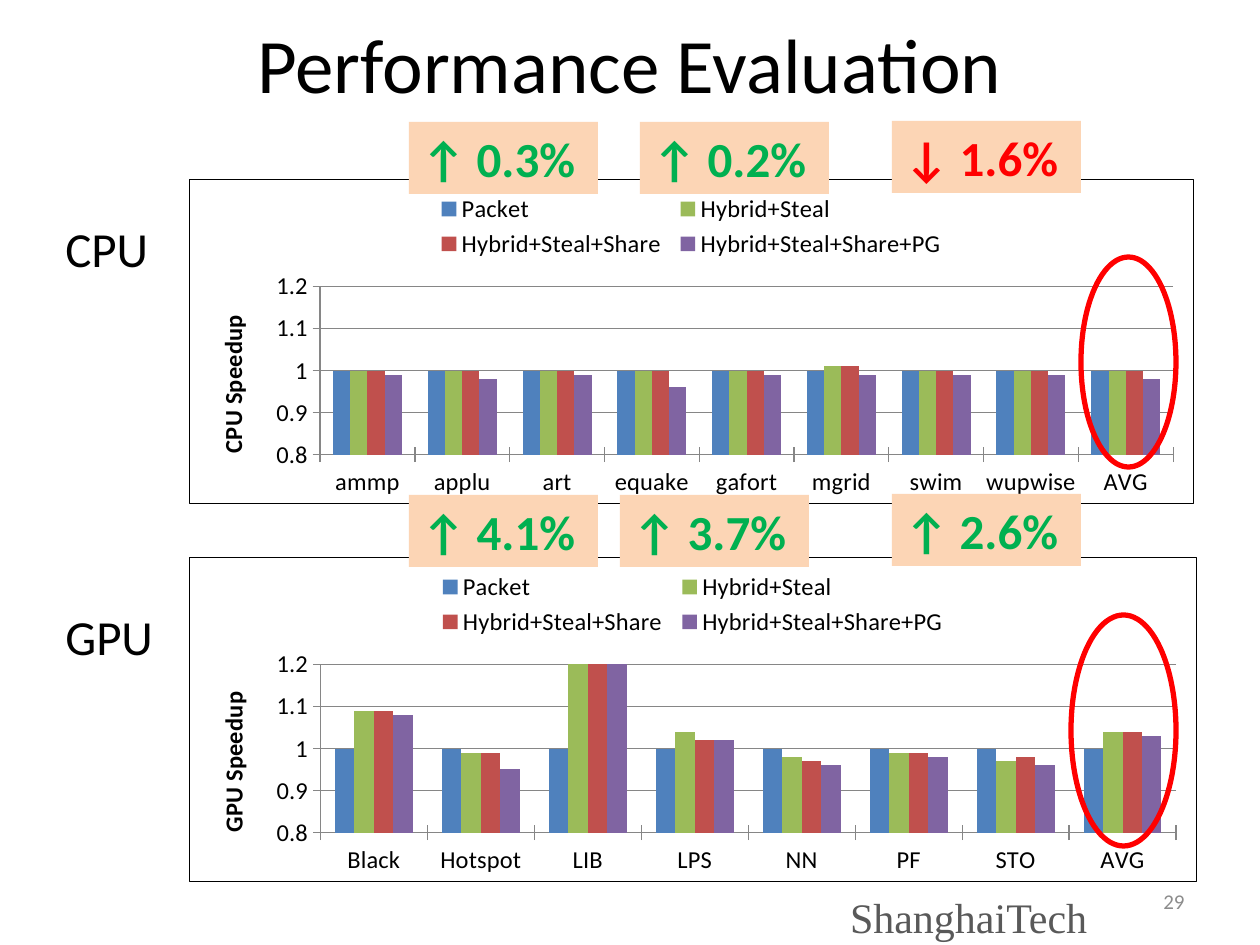
import pptx
import pptx.chart.data
import pptx.dml.color
import pptx.enum.chart
import pptx.enum.shapes
import pptx.enum.text
import pptx.oxml
import pptx.oxml.ns
import pptx.util

RGB = pptx.dml.color.RGBColor
ALIGN = pptx.enum.text.PP_ALIGN
ANCHOR = pptx.enum.text.MSO_ANCHOR
SHAPE = pptx.enum.shapes.MSO_SHAPE
XL = pptx.enum.chart

PX = 914400 // 126
BLACK = RGB(0x00, 0x00, 0x00)
GREY = RGB(0x8C, 0x8C, 0x8C)
DARK_GREY = RGB(0x59, 0x59, 0x59)
GRID = RGB(0x86, 0x86, 0x86)
PEACH = RGB(0xFC, 0xD5, 0xB5)
GREEN = RGB(0x00, 0xB0, 0x50)
RED = RGB(0xFF, 0x00, 0x00)
SERIES_COLORS = [RGB(0x4F, 0x81, 0xBD), RGB(0x9B, 0xBB, 0x59),
                 RGB(0xC0, 0x50, 0x4D), RGB(0x80, 0x64, 0xA2)]
SERIES_NAMES = ["Packet", "Hybrid+Steal", "Hybrid+Steal+Share",
                "Hybrid+Steal+Share+PG"]

CPU_CATS = ["ammp", "applu", "art", "equake", "gafort", "mgrid", "swim",
            "wupwise", "AVG"]
CPU_VALUES = [
    [1] * 9,
    [1, 1, 1, 1, 1, 1.01, 1, 1, 1],
    [1, 1, 1, 1, 1, 1.01, 1, 1, 1],
    [0.99, 0.98, 0.99, 0.96, 0.99, 0.99, 0.99, 0.99, 0.98],
]
GPU_CATS = ["Black", "Hotspot", "LIB", "LPS", "NN", "PF", "STO", "AVG"]
GPU_VALUES = [
    [1] * 8,
    [1.09, 0.99, 1.26, 1.04, 0.98, 0.99, 0.97, 1.04],
    [1.09, 0.99, 1.25, 1.02, 0.97, 0.99, 0.98, 1.04],
    [1.08, 0.95, 1.26, 1.02, 0.96, 0.98, 0.96, 1.03],
]
# Left, top, text and colour of each change badge
BADGES = [
    (409, 122, "↑ 0.3%", GREEN), (640, 122, "↑ 0.2%", GREEN),
    (892, 121, "↓ 1.6%", RED),
    (409, 495, "↑ 4.1%", GREEN), (620, 495, "↑ 3.7%", GREEN),
    (892, 494, "↑ 2.6%", GREEN),
]


def px(*lengths):
    return [n * PX for n in lengths]


def write(sp, text, size, color, font="Calibri", bold=False, align=ALIGN.LEFT,
          anchor=ANCHOR.TOP):
    tf = sp.text_frame
    tf.word_wrap = True
    tf.vertical_anchor = anchor
    tf.text = text
    p = tf.paragraphs[0]
    p.alignment = align
    f = p.runs[0].font
    f.size, f.name, f.bold = pptx.util.Pt(size), font, bold
    f.color.rgb = color
    return tf


def add_text(s, box, text, size, color, **style):
    return write(s.shapes.add_textbox(*px(*box)), text, size, color, **style)


def add_badge(s, left, top, text, color):
    sp = s.shapes.add_shape(SHAPE.RECTANGLE, *px(left, top, 189, 72))
    sp.shadow.inherit = False
    sp.fill.solid()
    sp.fill.fore_color.rgb = PEACH
    sp.line.fill.background()
    write(sp, text, 28, color, bold=True)


def add_ring(s, box):
    sp = s.shapes.add_shape(SHAPE.OVAL, *px(*box))
    sp.shadow.inherit = False
    sp.fill.background()
    sp.line.color.rgb = RED
    sp.line.width = pptx.util.Pt(3)


def chart_xml(body):
    return pptx.oxml.parse_xml(
        body.replace(">", " " + pptx.oxml.ns.nsdecls("c", "a") + ">", 1))


def manual_layout(x, y, w, h, inner=False):
    target = '<c:layoutTarget val="inner"/>' if inner else ""
    return chart_xml(
        f'<c:layout><c:manualLayout>{target}'
        '<c:xMode val="edge"/><c:yMode val="edge"/>'
        f'<c:x val="{x}"/><c:y val="{y}"/><c:w val="{w}"/><c:h val="{h}"/>'
        '</c:manualLayout></c:layout>')


def place_chart_parts(chart):
    """Fix plot and legend positions and draw the outer border."""
    c_chart = chart.element.find(pptx.oxml.ns.qn("c:chart"))
    plot_area = c_chart.find(pptx.oxml.ns.qn("c:plotArea"))
    legend = c_chart.find(pptx.oxml.ns.qn("c:legend"))
    for parent in (plot_area, legend):
        for old in parent.findall(pptx.oxml.ns.qn("c:layout")):
            parent.remove(old)
    plot_area.insert(0, manual_layout(0.13, 0.33, 0.85, 0.52, inner=True))
    legend.insert(1, manual_layout(0.24, 0.03, 0.52, 0.23))
    c_chart.addnext(chart_xml(
        '<c:spPr><a:noFill/><a:ln w="9525"><a:solidFill>'
        f'<a:srgbClr val="{BLACK}"/></a:solidFill></a:ln></c:spPr>'))


def add_speedup_chart(s, box, title, cats, values):
    data = pptx.chart.data.CategoryChartData()
    data.categories = cats
    for name, vals in zip(SERIES_NAMES, values):
        data.add_series(name, vals)
    chart = s.shapes.add_chart(XL.XL_CHART_TYPE.COLUMN_CLUSTERED, *px(*box),
                               data).chart
    chart.has_title = False
    chart.font.size, chart.font.name = pptx.util.Pt(14), "Calibri"
    chart.font.color.rgb = BLACK
    chart.has_legend = True
    chart.legend.position = XL.XL_LEGEND_POSITION.TOP
    chart.legend.include_in_layout = False

    plot = chart.plots[0]
    plot.vary_by_categories = False
    plot.gap_width, plot.overlap = 150, 0
    for series, color in zip(plot.series, SERIES_COLORS):
        series.invert_if_negative = False
        series.format.fill.solid()
        series.format.fill.fore_color.rgb = color

    axis = chart.value_axis
    axis.minimum_scale, axis.maximum_scale, axis.major_unit = 0.8, 1.2, 0.1
    axis.has_major_gridlines = True
    axis.axis_title.text_frame.text = title
    f = axis.axis_title.text_frame.paragraphs[0].runs[0].font
    f.size, f.name, f.bold = pptx.util.Pt(14), "Calibri", True
    f.color.rgb = BLACK
    for ax in (axis, chart.category_axis):
        ax.major_tick_mark = XL.XL_TICK_MARK.CROSS
        ax.format.line.color.rgb = GRID
    axis.major_gridlines.format.line.color.rgb = GRID
    place_chart_parts(chart)


def main():
    prs = pptx.Presentation()
    prs.slide_width, prs.slide_height = px(1260, 945)
    s = prs.slides.add_slide(prs.slide_layouts[6])

    add_speedup_chart(s, (189, 557, 1008, 325), "GPU Speedup", GPU_CATS,
                      GPU_VALUES)
    add_speedup_chart(s, (189, 179, 1005, 325), "CPU Speedup", CPU_CATS,
                      CPU_VALUES)
    add_text(s, (0, 21, 1260, 84), "Performance Evaluation", 44, BLACK,
             align=ALIGN.CENTER, anchor=ANCHOR.MIDDLE)
    add_text(s, (53, 212, 147, 72), "CPU", 28, BLACK)
    add_text(s, (53, 600, 147, 72), "GPU", 28, BLACK)
    for badge in BADGES:
        add_badge(s, *badge)
    add_ring(s, (1081, 257, 95, 210))
    add_ring(s, (1071, 615, 105, 231))

    add_text(s, (903, 876, 294, 50), "29", 12, GREY, align=ALIGN.RIGHT,
             anchor=ANCHOR.MIDDLE)
    tf = add_text(s, (850, 892, 284, 53), "ShanghaiTech", 24, DARK_GREY,
                  font="Times New Roman")
    tf.margin_left = tf.margin_right = tf.margin_top = tf.margin_bottom = 0
    prs.save("out.pptx")


if __name__ == "__main__":
    main()
